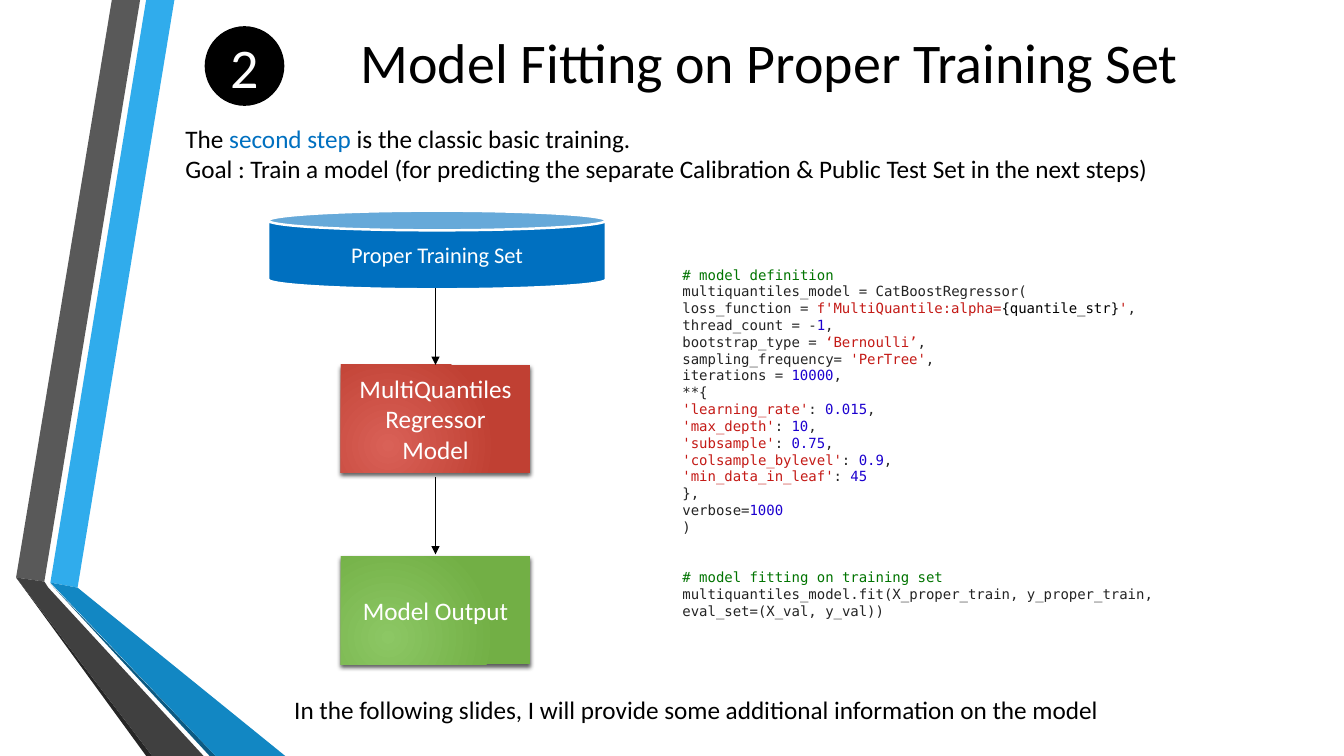
from dataclasses import dataclass

from lxml import etree
from pptx import Presentation
from pptx import util as u
from pptx.dml.color import RGBColor
from pptx.enum import shapes, text
from pptx.oxml.ns import qn

BODY_FONT, CODE_FONT = "Calibri", "DejaVu Sans Mono"
BLACK, WHITE, BLUE = "000000", "FFFFFF", "0070C0"
COMMENT, PLAIN, STRING, NUMBER = "007400", "242424", "C41A16", "1C00CF"
CENTER = text.PP_ALIGN.CENTER

Line = list[tuple[str, str]]  # (words, colour) pieces


@dataclass
class Ribbon:
    color: str
    points: list[tuple[float, float]]


@dataclass
class TextBlock:
    left: float
    top: float
    width: float
    height: float
    lines: list[Line]
    size: float = 18
    font: str = BODY_FONT
    align: text.PP_ALIGN = text.PP_ALIGN.LEFT
    anchor: text.MSO_ANCHOR = text.MSO_ANCHOR.TOP


@dataclass
class ModelBox:
    top: float
    gradient: tuple[str, str]
    words: list[str]


def rgb(color: str) -> RGBColor:
    return RGBColor.from_string(color)


def write(shape, lines: list[Line], size: float, font: str = BODY_FONT,
          align=CENTER, anchor=text.MSO_ANCHOR.MIDDLE) -> None:
    frame = shape.text_frame
    frame.word_wrap = True
    frame.vertical_anchor = anchor
    for index, line in enumerate(lines):
        paragraph = frame.paragraphs[0] if index == 0 else frame.add_paragraph()
        paragraph.alignment = align
        for words, color in line:
            run = paragraph.add_run()
            run.text = words
            for name, value in {"size": u.Pt(size), "name": font}.items():
                setattr(run.font, name, value)
            run.font.color.rgb = rgb(color)


def add_text(slide, block: TextBlock):
    box = slide.shapes.add_textbox(*map(
        u.Inches, (block.left, block.top, block.width, block.height)))
    write(box, block.lines, block.size, block.font, block.align, block.anchor)
    return box


def add_ribbon(slide, ribbon: Ribbon) -> None:
    start, *others = [(u.Inches(x), u.Inches(y)) for x, y in ribbon.points]
    builder = slide.shapes.build_freeform(*start, scale=1.0)
    builder.add_line_segments(others, close=True)
    shape = builder.convert_to_shape()
    shape.shadow.inherit = False
    shape.fill.solid()
    shape.fill.fore_color.rgb = rgb(ribbon.color)
    shape.line.fill.background()


def add_shape(slide, kind, left: float, top: float, width: float, height: float,
              color: str):
    shape = slide.shapes.add_shape(kind, *map(u.Inches, (left, top, width, height)))
    shape.shadow.inherit = False
    shape.fill.solid()
    shape.fill.fore_color.rgb = rgb(color)
    shape.line.fill.background()
    return shape


def add_model_box(slide, box: ModelBox) -> None:
    shape = add_shape(slide, shapes.MSO_SHAPE.RECTANGLE, 3.38, box.top, 1.88, 1.07,
                      box.gradient[1])
    # Radial gradient
    shape.fill.gradient()
    for stop, color, position in zip(shape.fill.gradient_stops, box.gradient, (0, 1)):
        stop.color.rgb = rgb(color)
        stop.position = position
    properties = shape.element.spPr
    gradient = properties.find(qn("a:gradFill"))
    linear = gradient.find(qn("a:lin"))
    radial = etree.Element(qn("a:path"), path="circle")
    etree.SubElement(radial, qn("a:fillToRect"),
                     l="50000", t="100000", r="100000", b="50000")
    gradient.replace(linear, radial)
    # Soft shadow below
    shadow = etree.SubElement(properties.find(qn("a:effectLst")), qn("a:outerShdw"),
                              blurRad="38100", dist="25400", dir="5400000",
                              rotWithShape="0")
    shade = etree.SubElement(shadow, qn("a:srgbClr"), val=BLACK)
    etree.SubElement(shade, qn("a:alpha"), val="64000")
    write(shape, [[(words, WHITE)] for words in box.words], 18)


def add_arrow(slide, x: float, top: float, bottom: float) -> None:
    arrow = slide.shapes.add_connector(
        shapes.MSO_CONNECTOR.STRAIGHT, *map(u.Inches, (x, top, x, bottom)))
    arrow.line.width = u.Pt(1.25)
    arrow.line.color.rgb = rgb(BLACK)
    etree.SubElement(arrow.line._get_or_add_ln(), qn("a:tailEnd"), type="triangle")
    etree.SubElement(arrow._element.spPr, qn("a:effectLst"))


def parameter(name: str, value: str, end: str = ",") -> Line:
    return [(f"'{name}'", STRING), (": ", PLAIN), (value, NUMBER), (end, PLAIN)]


RIBBONS = [
    Ribbon("30ACEC", [(0.5, 5.78), (0.77, 5.83), (1.73, 0), (1.45, 0)]),
    Ribbon("595959", [(1.39, 0), (1.11, 0), (0.16, 5.73), (0.44, 5.77)]),
    Ribbon("262626", [(0.16, 5.73), (1.45, 7.5), (1.51, 7.5)]),
    Ribbon("0C5A82", [(0.5, 5.79), (2.08, 7.5), (2.14, 7.5)]),
    Ribbon("1287C3", [(0.5, 5.78), (2.14, 7.5), (2.83, 7.5), (0.77, 5.83)]),
    Ribbon("404040", [(2.02, 7.5), (0.48, 5.83), (0.44, 5.77), (0.16, 5.73), (1.51, 7.5)]),
]

MODEL_BOXES = [
    ModelBox(3.62, ("D96157", "C04033"), ["MultiQuantiles", "Regressor", "Model"]),
    ModelBox(5.52, ("8CC764", "72AF45"), ["Model Output"]),
]

ARROWS = [(2.86, 3.62), (4.73, 5.5)]

DEFINITION: list[Line] = [
    [("# model definition", COMMENT)],
    [("multiquantiles_model = CatBoostRegressor(", PLAIN)],
    [("loss_function = ", PLAIN), ("f'MultiQuantile:alpha=", STRING),
     ("{quantile_str}", BLACK), ("'", STRING), (",", PLAIN)],
    [("thread_count = -", PLAIN), ("1", NUMBER), (",", PLAIN)],
    [("bootstrap_type = ", PLAIN), ("‘Bernoulli’", STRING), (",", PLAIN)],
    [("sampling_frequency= ", PLAIN), ("'PerTree'", STRING), (",", PLAIN)],
    [("iterations = ", PLAIN), ("10000", NUMBER), (",", PLAIN)],
    [("**{", PLAIN)],
    parameter("learning_rate", "0.015"),
    parameter("max_depth", "10"),
    parameter("subsample", "0.75"),
    parameter("colsample_bylevel", "0.9"),
    parameter("min_data_in_leaf", "45", "")[:3],
    [("},", PLAIN)],
    [("verbose=", PLAIN), ("1000", NUMBER)],
    [(")", PLAIN)],
]
FITTING: list[Line] = [
    [("# model fitting on training set", COMMENT)],
    [("multiquantiles_model.fit(X_proper_train, y_proper_train, "
      "eval_set=(X_val, y_val))", PLAIN)],
]

TITLE = TextBlock(3.26, 0.16, 8.74, 0.89,
                  [[("Model Fitting on Proper Training Set", BLACK)]],
                  size=40, align=CENTER, anchor=text.MSO_ANCHOR.MIDDLE)
INTRODUCTION = TextBlock(1.74, 1.17, 10.02, 0.71, [
    [("The ", BLACK), ("second step", BLUE), (" is the classic basic training.", BLACK)],
    [("Goal : Train a model (for predicting the separate Calibration & "
      "Public Test Set in the next steps)", BLACK)]])
CODE = TextBlock(6.67, 2.59, 5.09, 3.47, DEFINITION + FITTING, size=10, font=CODE_FONT)
CLOSING = TextBlock(2.82, 6.84, 8.27, 0.4, [
    [("In the following slides, I will provide some additional information "
      "on the model", BLACK)]])


def main() -> None:
    presentation = Presentation()
    presentation.slide_width = u.Inches(13.33)
    presentation.slide_height = u.Inches(7.5)
    slide = presentation.slides.add_slide(presentation.slide_layouts[6])

    # Side ribbons
    for ribbon in RIBBONS:
        add_ribbon(slide, ribbon)

    # Title and step number
    add_text(slide, TITLE)
    badge = add_shape(slide, shapes.MSO_SHAPE.OVAL, 2.03, 0.26, 0.79, 0.79, BLACK)
    for side in ("left", "right", "top", "bottom"):
        setattr(badge.text_frame, f"margin_{side}", 0)
    write(badge, [[("2", WHITE)]], 40)
    add_text(slide, INTRODUCTION)

    # Flow from data to output
    data_store = add_shape(slide, shapes.MSO_SHAPE.CAN, 2.66, 2.09, 3.35, 0.78, BLUE)
    data_store.line.color.rgb = rgb(WHITE)
    data_store.line.width = u.Pt(1.75)
    write(data_store, [[("Proper Training Set", WHITE)]], 16)
    for box in MODEL_BOXES:
        add_model_box(slide, box)
    for top, bottom in ARROWS:
        add_arrow(slide, 4.32, top, bottom)

    # Code, with a two-line gap before the fitting part
    code = add_text(slide, CODE)
    code.text_frame.paragraphs[len(DEFINITION)].space_before = u.Pt(24)
    add_text(slide, CLOSING)

    presentation.save("out.pptx")


if __name__ == "__main__":
    main()
